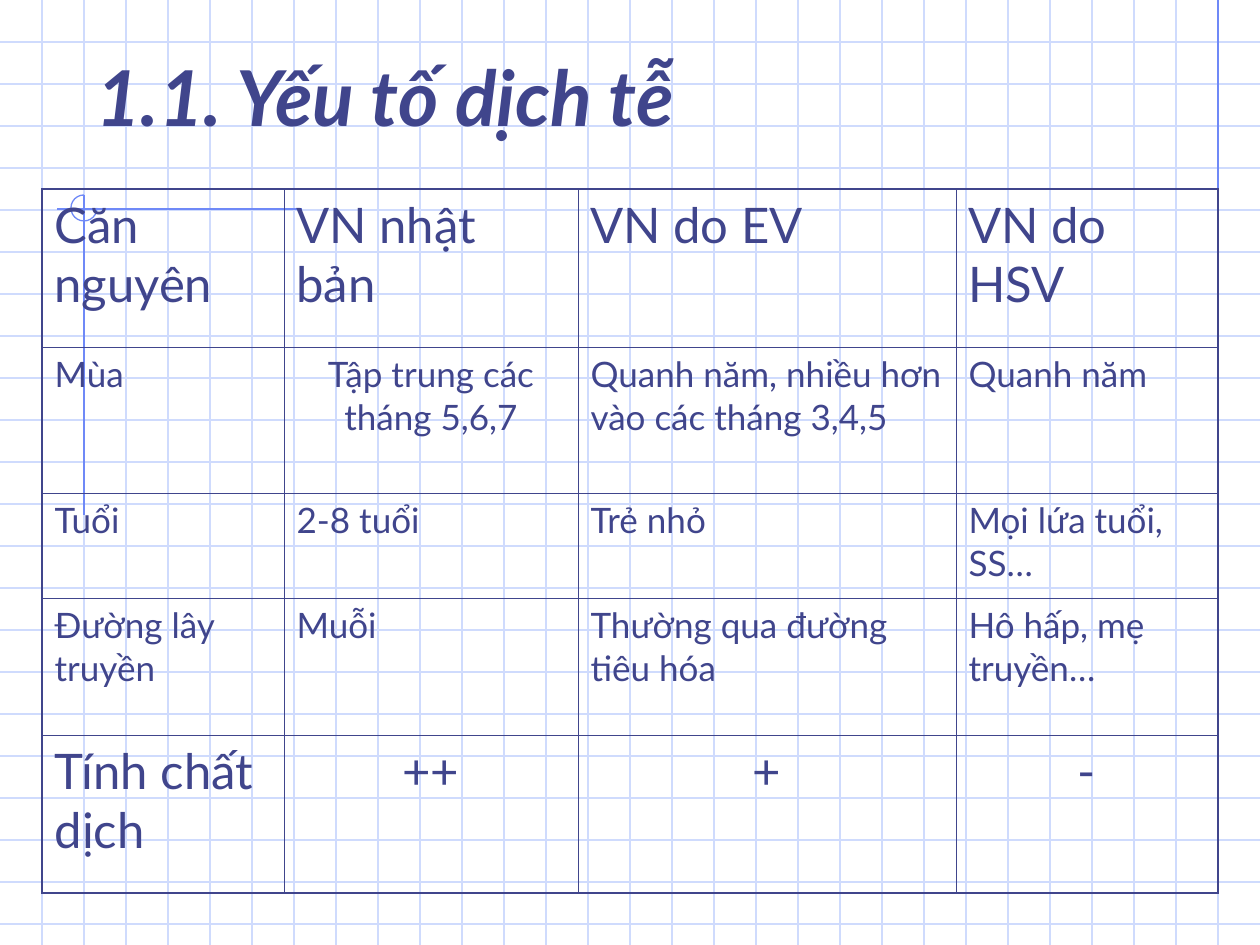
"""Build a slide with a table comparing epidemiological factors on grid paper."""
from lxml.etree import SubElement
from pptx import Presentation
from pptx.dml.color import RGBColor
from pptx.enum.shapes import MSO_CONNECTOR, MSO_SHAPE
from pptx.enum.text import MSO_ANCHOR, PP_ALIGN
from pptx.oxml.ns import qn
from pptx.util import Pt

SCALE = 914400 / 126
WIDTH, HEIGHT, STEP = 1260, 945, 42
COLORS = {"paper": "FFFFFF", "grid": "CFDBFD", "accent": "6F89F7", "ink": "40458C"}


def write_text(frame, text, size, align=PP_ALIGN.LEFT, before=0, bold=False, italic=False):
    frame.word_wrap = True
    para = frame.paragraphs[0]
    para.alignment = align
    para.space_before = Pt(before)
    span = para.add_run()
    span.text = text
    span.font.name = "Lato"
    span.font.size = Pt(size)
    span.font.bold = bold
    span.font.italic = italic
    span.font.color.rgb = RGBColor.from_string(COLORS["ink"])


def draw_line(page, ends, color):
    line = page.shapes.add_connector(MSO_CONNECTOR.STRAIGHT, *[int(end * SCALE) for end in ends])
    line.line.color.rgb = RGBColor.from_string(COLORS[color])
    line.line.width = Pt(0.75)
    SubElement(line._element.spPr, qn("a:effectLst"))


deck = Presentation()
deck.slide_width = int(WIDTH * SCALE)
deck.slide_height = int(HEIGHT * SCALE)
page = deck.slides.add_slide(deck.slide_layouts[6])
page.background.fill.solid()
page.background.fill.fore_color.rgb = RGBColor.from_string(COLORS["paper"])

for y in range(STEP, HEIGHT, STEP):
    draw_line(page, (0, y, WIDTH, y), "grid")
for x in range(STEP, WIDTH, STEP):
    draw_line(page, (x, 0, x, HEIGHT), "grid")
for ends in [(1218, 0, 1218, 325), (302, 209, 57, 209), (84, 195, 84, 515)]:
    draw_line(page, ends, "accent")

arc = page.shapes.add_shape(MSO_SHAPE.ARC, *[int(side * SCALE) for side in (71, 195, 26, 26)])
arc.adjustments[0] = 0
arc.adjustments[1] = 162
arc.shadow.inherit = False
arc.fill.background()
arc.line.color.rgb = RGBColor.from_string(COLORS["accent"])
arc.line.width = Pt(0.75)

title = page.shapes.add_textbox(*[int(side * SCALE) for side in (84, 42, 1071, 106)])
title.text_frame.vertical_anchor = MSO_ANCHOR.BOTTOM
write_text(title.text_frame, "1.1. Yếu tố dịch tễ", 44, bold=True, italic=True)

columns = [242, 294, 378, 262]
heights = [158, 146, 105, 137, 158]
rows = [
    ["Căn nguyên", "VN nhật bản", "VN do EV", "VN do HSV"],
    ["Mùa", "Tập trung các tháng 5,6,7", "Quanh năm, nhiều hơn vào các tháng 3,4,5", "Quanh năm"],
    ["Tuổi", "2-8 tuổi", "Trẻ nhỏ", "Mọi lứa tuổi, SS…"],
    ["Đường lây truyền", "Muỗi", "Thường qua đường tiêu hóa", "Hô hấp, mẹ truyền…"],
    ["Tính chất dịch", "++", "+", "-"],
]
centered = {(1, 1), (4, 1), (4, 2), (4, 3)}
last_row, last_column = len(rows) - 1, len(columns) - 1

area = [int(side * SCALE) for side in (42, 189, sum(columns), sum(heights))]
table = page.shapes.add_table(len(rows), len(columns), *area).table
table.first_row = False
table.horz_banding = False
for column, width in zip(table.columns, columns):
    column.width = int(width * SCALE)
for row, height in zip(table.rows, heights):
    row.height = int(height * SCALE)

for r, texts in enumerate(rows):
    large = r in (0, last_row)
    for c, text in enumerate(texts):
        cell = table.cell(r, c)
        align = PP_ALIGN.CENTER if (r, c) in centered else PP_ALIGN.LEFT
        write_text(cell.text_frame, text, 28 if large else 20, align=align, before=7 if large else 5)
        outer_edges = {"lnL": c == 0, "lnR": c == last_column, "lnT": r == 0, "lnB": r == last_row}
        properties = cell._tc.get_or_add_tcPr()
        for edge, outer in outer_edges.items():
            border = SubElement(properties, qn(f"a:{edge}"), w=str(Pt(1.08 if outer else 0.45)))
            fill = SubElement(border, qn("a:solidFill"))
            SubElement(fill, qn("a:srgbClr"), val=COLORS["ink"])
        cell.fill.background()

deck.save("out.pptx")
